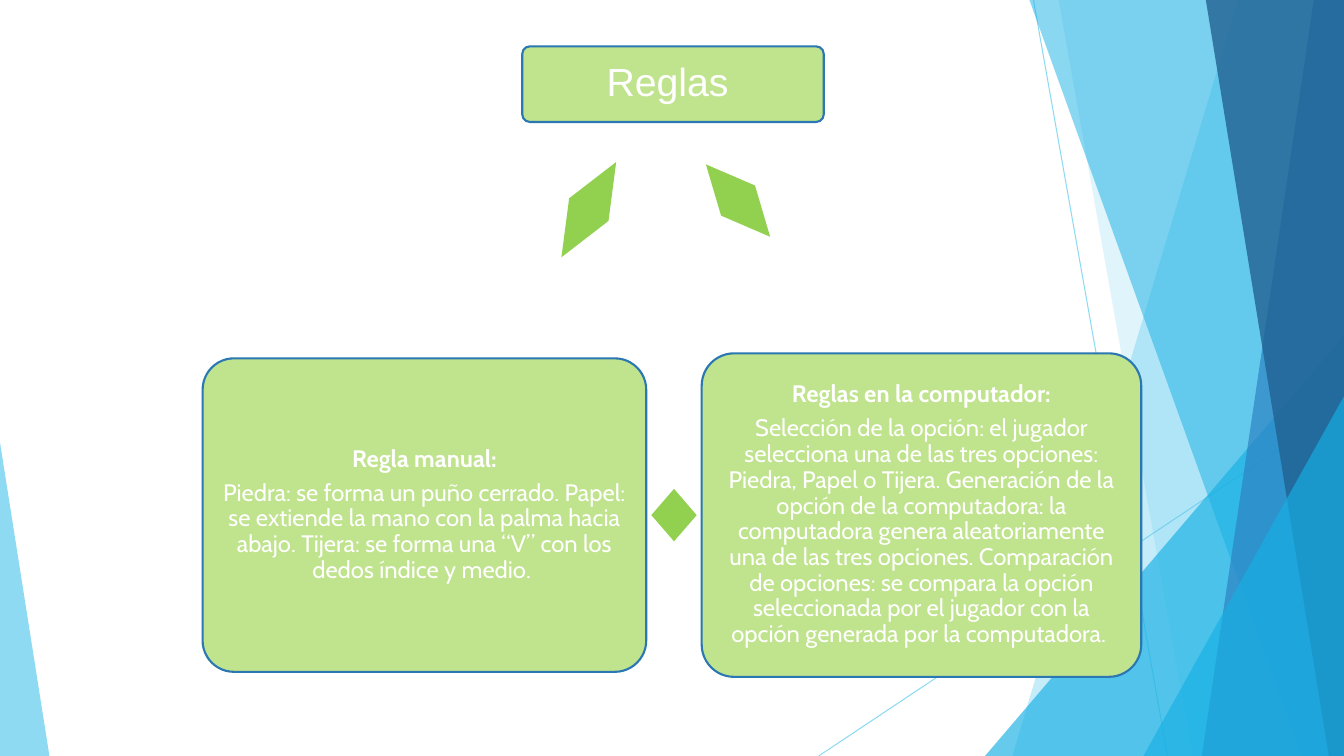
"""Build the "Reglas" slide: a title box, two rule cards and the arrows that join them."""
from dataclasses import dataclass

from lxml import etree
from pptx import Presentation
from pptx.dml.color import RGBColor
from pptx.enum.shapes import MSO_CONNECTOR, MSO_SHAPE
from pptx.enum.text import MSO_ANCHOR, PP_ALIGN
from pptx.oxml.ns import qn
from pptx.util import Inches, Pt

STRAIGHT = MSO_CONNECTOR.STRAIGHT
ROUNDED = MSO_SHAPE.ROUNDED_RECTANGLE
TRIANGLE = MSO_SHAPE.ISOSCELES_TRIANGLE
DOUBLE_ARROW = MSO_SHAPE.LEFT_RIGHT_ARROW
MIDDLE = MSO_ANCHOR.MIDDLE
CENTER = PP_ALIGN.CENTER


@dataclass(frozen=True)
class Theme:
    sky: str = "5FCBEF"
    cyan: str = "17B0E4"
    blue: str = "2E83C3"
    navy: str = "226292"
    card: str = "C0E38D"
    border: str = "2A77B1"
    arrow: str = "92D050"
    text: str = "FFFFFF"
    title_font: str = "Arial"
    body_font: str = "Cabin"
    title_size: int = 28
    body_size: int = 17


THEME = Theme()
WIDTH, HEIGHT = 13.33, 7.5
CARD_MIDDLE = 5.11

TITLE = "Reglas "
MANUAL = (
    "Regla manual:",
    "Piedra: se forma un puño cerrado. Papel: se extiende la mano con la palma hacia abajo. "
    "Tijera: se forma una “V” con los dedos índice y medio. ",
)
COMPUTER = (
    "Reglas en la computador:",
    "Selección de la opción: el jugador selecciona una de las tres opciones: Piedra, Papel o Tijera. "
    "Generación de la opción de la computadora: la computadora genera aleatoriamente una de las tres opciones. "
    "Comparación de opciones: se compara la opción seleccionada por el jugador con la opción generada "
    "por la computadora. ",
)

TITLE_BOX = (5.18, 0.46, 2.99, 0.75)
MANUAL_SIZE = (2.01, 4.4, 3.11)
COMPUTER_SIZE = (6.96, 4.36, 3.21)
GAP_CENTER = (MANUAL_SIZE[0] + MANUAL_SIZE[1] + COMPUTER_SIZE[0]) / 2
ARROW_WIDTH = 0.45
ARROWS = {
    "title to computer": (7.32, 1.99, 0.96, 318.4),
    "computer to manual": (GAP_CENTER, CARD_MIDDLE, 0.52, 180),
    "manual to title": (5.84, 2.08, 1.09, 29.9),
}

RAYS = [((10.25, 0), (11.58, HEIGHT)), ((WIDTH, 4.03), (8.12, HEIGHT))]
# facet bands: top-left x, bottom-left x, colour, opacity
BANDS_BACK = [(12.28, 10.04, THEME.sky, 36), (10.5, 11.83, THEME.sky, 20)]
BANDS_FRONT = [
    (10.21, 12.91, THEME.cyan, 50),
    (13.03, 11.92, THEME.blue, 70),
    (11.96, 13.18, THEME.navy, 80),
]
WEDGE_BACK = (9.77, 3.56, 4.17, 1, THEME.cyan, 66)
WEDGE_FRONT = (11.34, 1.99, 3.57, 1, THEME.cyan, 66)
WEDGE_LEFT = (0, 0.49, 3.11, 0, THEME.sky, 70)


def set_opacity(element, percent):
    color = next(element.iter(qn("a:srgbClr")))
    etree.SubElement(color, qn("a:alpha")).set("val", str(percent * 1000))


def paint(shape, color, opacity=100):
    shape.shadow.inherit = False
    shape.fill.solid()
    shape.fill.fore_color.rgb = RGBColor.from_string(color)
    shape.line.fill.background()
    if opacity < 100:
        set_opacity(shape.fill._xPr, opacity)


def add_preset(slide, preset, box, adjustments):
    shape = slide.shapes.add_shape(preset, *map(Inches, box))
    for index, value in enumerate(adjustments):
        shape.adjustments[index] = value
    return shape


def add_ray(slide, start, end):
    ray = slide.shapes.add_connector(STRAIGHT, *map(Inches, start + end))
    ray.line.color.rgb = RGBColor.from_string(THEME.sky)
    ray.line.width = Pt(0.75)
    properties = ray._element.spPr
    set_opacity(properties, 70)
    etree.SubElement(properties, qn("a:effectLst"))


def add_band(slide, top_x, bottom_x, color, opacity):
    corners = [(WIDTH, 0), (WIDTH, HEIGHT), (bottom_x, HEIGHT)]
    builder = slide.shapes.build_freeform(Inches(top_x), 0)
    builder.add_line_segments([(Inches(x), Inches(y)) for x, y in corners], close=True)
    paint(builder.convert_to_shape(), color, opacity)


def add_wedge(slide, left, width, height, apex, color, opacity):
    wedge = add_preset(slide, TRIANGLE, (left, HEIGHT - height, width, height), [apex])
    paint(wedge, color, opacity)


def add_box(slide, box, lines, font, size, inset):
    card = add_preset(slide, ROUNDED, box, [0.1])
    paint(card, THEME.card)
    card.line.color.rgb = RGBColor.from_string(THEME.border)
    card.line.width = Pt(1.5)
    frame = card.text_frame
    frame.word_wrap = True
    frame.vertical_anchor = MIDDLE
    frame.margin_left = frame.margin_right = Inches(inset)
    frame.margin_top = frame.margin_bottom = Inches(inset)
    frame.text = "\n".join(lines)
    for index, paragraph in enumerate(frame.paragraphs):
        paragraph.alignment = CENTER
        paragraph.line_spacing = 0.9
        paragraph.space_after = Pt(round(size * 0.35))
        style = paragraph.runs[0].font
        style.name = font
        style.size = Pt(size)
        style.bold = len(lines) > 1 and index == 0
        style.color.rgb = RGBColor.from_string(THEME.text)


def add_card(slide, size, lines):
    left, width, height = size
    box = (left, CARD_MIDDLE - height / 2, width, height)
    add_box(slide, box, lines, THEME.body_font, THEME.body_size, 0.07)


def add_arrow(slide, center_x, center_y, height, rotation):
    box = (center_x - ARROW_WIDTH / 2, center_y - height / 2, ARROW_WIDTH, height)
    arrow = add_preset(slide, DOUBLE_ARROW, box, [0.6, 0.5])
    arrow.rotation = rotation
    paint(arrow, THEME.arrow)


def add_backdrop(slide):
    for start, end in RAYS:
        add_ray(slide, start, end)
    for band in BANDS_BACK:
        add_band(slide, *band)
    add_wedge(slide, *WEDGE_BACK)
    for band in BANDS_FRONT:
        add_band(slide, *band)
    add_wedge(slide, *WEDGE_FRONT)
    add_wedge(slide, *WEDGE_LEFT)


def main():
    deck = Presentation()
    deck.slide_width, deck.slide_height = Inches(WIDTH), Inches(HEIGHT)
    slide = deck.slides.add_slide(deck.slide_layouts[6])
    add_backdrop(slide)
    add_box(slide, TITLE_BOX, [TITLE], THEME.title_font, THEME.title_size, 0.12)
    add_card(slide, COMPUTER_SIZE, COMPUTER)
    add_card(slide, MANUAL_SIZE, MANUAL)
    for arrow in ARROWS.values():
        add_arrow(slide, *arrow)
    deck.save("out.pptx")


if __name__ == "__main__":
    main()
